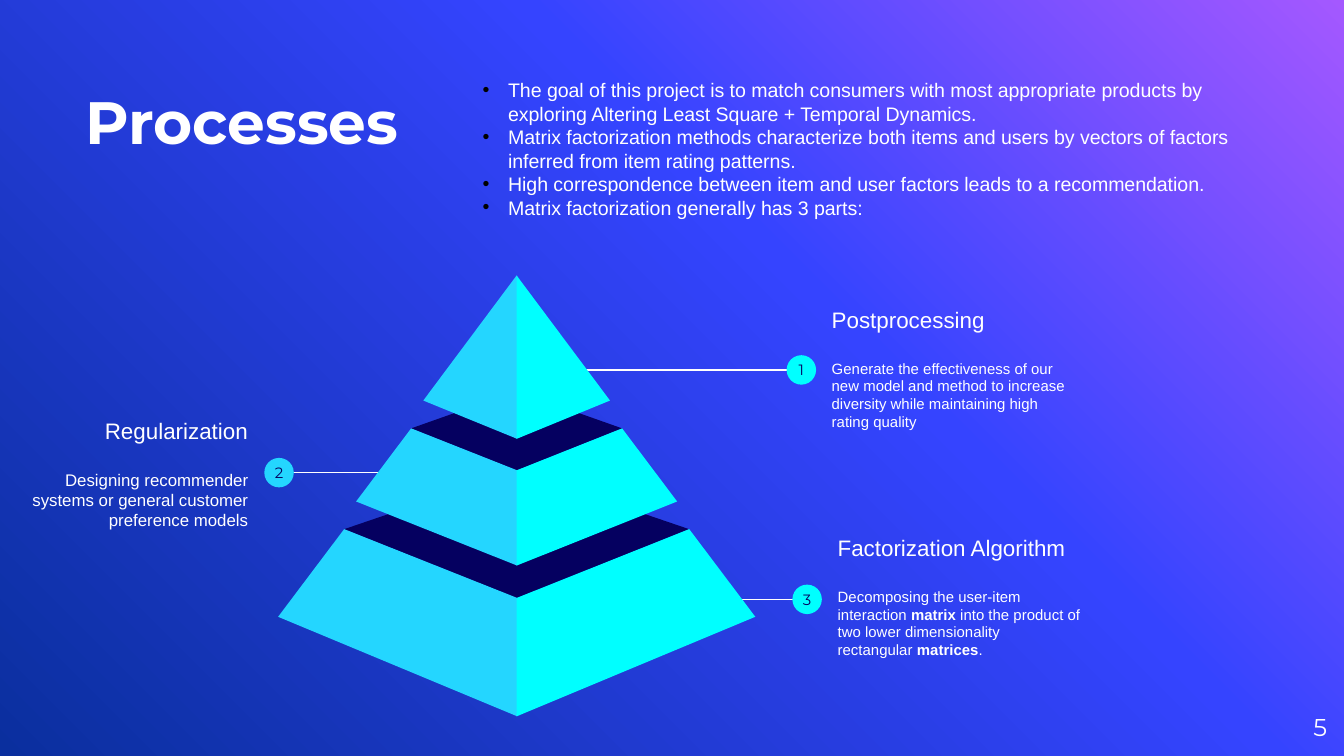
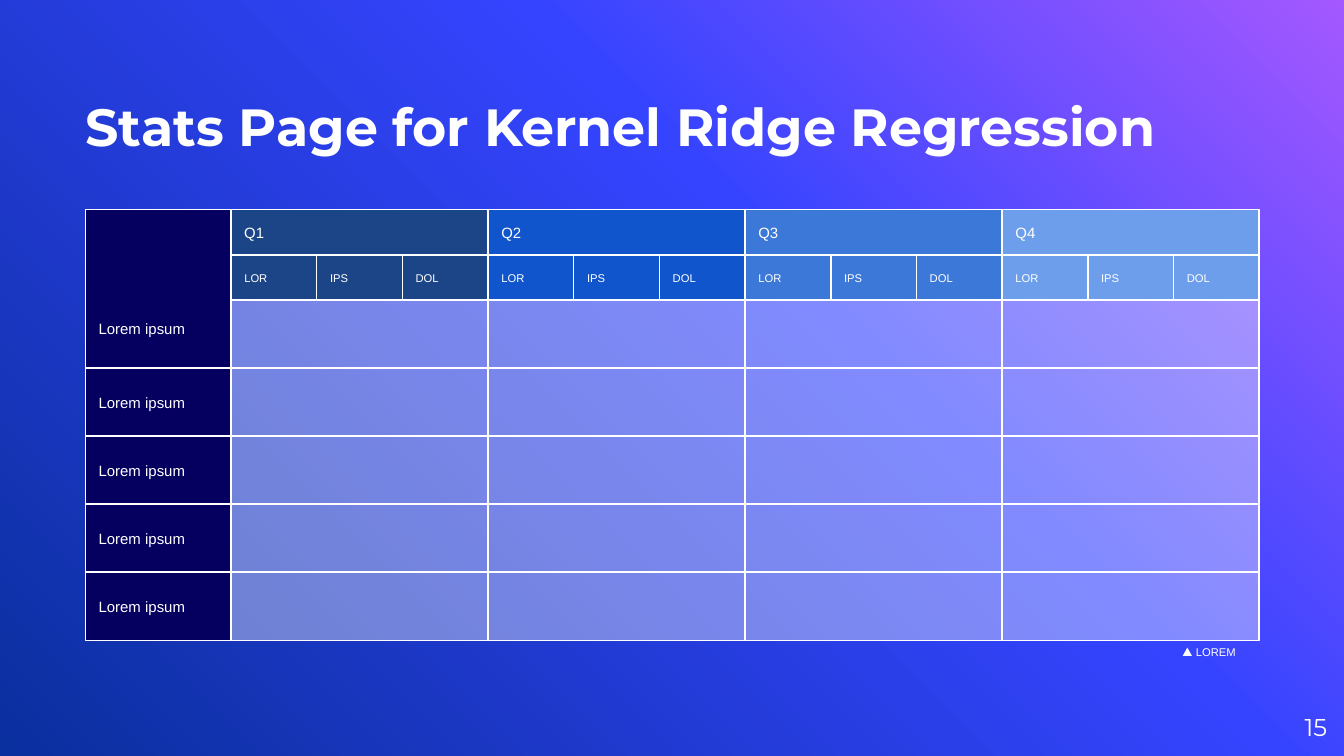
import pptx
import pptx.dml.color
import pptx.enum.shapes
import pptx.enum.text
import pptx.oxml.ns
import pptx.util
from lxml import etree

Pt = pptx.util.Pt
RGBColor = pptx.dml.color.RGBColor
Shape = pptx.enum.shapes.MSO_SHAPE
Align = pptx.enum.text.PP_ALIGN
Anchor = pptx.enum.text.MSO_ANCHOR
qn = pptx.oxml.ns.qn

WHITE = RGBColor(0xFF, 0xFF, 0xFF)
BLACK = RGBColor(0x00, 0x00, 0x00)
NAVY = RGBColor(0x05, 0x00, 0x60)
CYAN = RGBColor(0x00, 0xFF, 0xFF)
SKY = RGBColor(0x24, 0xD6, 0xFF)
VIOLET = RGBColor(0xA4, 0x58, 0xFF)
BLUE = RGBColor(0x35, 0x44, 0xFF)
DEEP_BLUE = RGBColor(0x0A, 0x2F, 0x9E)
QUARTER_COLORS = [
    RGBColor(0x1C, 0x45, 0x87),
    RGBColor(0x11, 0x55, 0xCC),
    RGBColor(0x3C, 0x78, 0xD8),
    RGBColor(0x6D, 0x9E, 0xEB),
]
HARD_SPACE = chr(160)


def write_text(frame, text, size, font="Arial", color=WHITE, bold=False, align=Align.LEFT,
               after=0, bullet=None, margin=None, anchor=Anchor.MIDDLE):
    if margin is not None:
        frame.word_wrap = True
        frame.auto_size = pptx.enum.text.MSO_AUTO_SIZE.NONE
        frame.vertical_anchor = anchor
        frame.margin_left = frame.margin_right = Pt(margin)
        frame.margin_top = frame.margin_bottom = Pt(margin)
    paragraph = frame.paragraphs[0]
    if paragraph.runs:
        paragraph = frame.add_paragraph()
    if bullet:
        properties = paragraph._p.get_or_add_pPr()
        properties.set("marL", str(Pt(21.6)))
        properties.set("indent", str(Pt(-13.7)))
        bullet_color = etree.SubElement(properties, qn("a:buClr"))
        etree.SubElement(bullet_color, qn("a:srgbClr"), val=str(BLACK))
        etree.SubElement(properties, qn("a:buFont"), typeface="Arial")
        etree.SubElement(properties, qn("a:buChar"), char=bullet)
    paragraph.alignment = align
    paragraph.space_before = Pt(0)
    paragraph.space_after = Pt(after)
    for index, part in enumerate(text.split("*")):
        run = paragraph.add_run()
        run.text = part
        run.font.name = font
        run.font.size = Pt(size)
        run.font.bold = bold or index % 2 == 1
        run.font.color.rgb = color


def fill_shape(shape, color, outlined=False):
    shape.shadow.inherit = False
    shape.fill.solid()
    shape.fill.fore_color.rgb = color
    if outlined:
        shape.line.color.rgb = WHITE
        shape.line.width = Pt(0.75)
    else:
        shape.line.fill.background()


presentation = pptx.Presentation()
presentation.slide_width = Pt(720)
presentation.slide_height = Pt(405)

master = presentation.slide_master
background = master.background.fill
background.gradient()
background.gradient_angle = 225
stops = master.element.find(".//" + qn("a:gsLst"))
for stop in list(stops):
    stops.remove(stop)
for position, color in [(0, VIOLET), (39, BLUE), (100, DEEP_BLUE)]:
    stop = etree.SubElement(stops, qn("a:gs"), pos=str(position * 1000))
    etree.SubElement(stop, qn("a:srgbClr"), val=str(color))

slides = []
for layout, title, size, width, number in [
    (1, "Processes", 32, 473.8, "5"),
    (5, "Stats Page for Kernel Ridge Regression", 28, 629.3, "15"),
]:
    slide = presentation.slides.add_slide(presentation.slide_layouts[layout])
    heading = slide.shapes.title
    heading.left, heading.top, heading.width, heading.height = Pt(45.7), Pt(16.3), Pt(width), Pt(67.7)
    write_text(heading.text_frame, title, size, font="Montserrat", bold=True, margin=0, anchor=Anchor.BOTTOM)
    page_number = slide.shapes.add_textbox(Pt(667.7), Pt(373.7), Pt(43.2), Pt(31))
    write_text(page_number.text_frame, number, 13, font="Montserrat", align=Align.RIGHT, margin=0)
    slides.append(slide)
process_slide, stats_slide = slides

goals = process_slide.placeholders[1]
goals.left, goals.top, goals.width, goals.height = Pt(243.4), Pt(38.2), Pt(445.7), Pt(94.3)
goals.text_frame.auto_size = pptx.enum.text.MSO_AUTO_SIZE.NONE
for goal in [
    "The goal of this project is to match consumers with most appropriate products by exploring "
    "Altering Least Square + Temporal Dynamics.",
    "Matrix factorization methods characterize both items and users by vectors of factors inferred "
    "from item rating patterns.",
    "High correspondence between item and user factors leads to a recommendation.",
    "Matrix factorization generally has 3 parts:",
]:
    write_text(goals.text_frame, goal, 10.5, bullet="•")

callouts = [
    ("1", "Postprocessing",
     "Generate the effectiveness of our new model and method to increase diversity while maintaining "
     "high rating quality",
     8, Align.LEFT, 438.5, 143.1, 421.4, 198.2, 301.7, 437, CYAN),
    ("2", "Regularization",
     "Designing recommender systems or general customer preference models",
     9, Align.RIGHT, -6.9, 199.3, 141.6, 253.2, 229, 146.9, SKY),
    ("3", "Factorization Algorithm",
     f"Decomposing the user-item interaction{HARD_SPACE}*matrix*{HARD_SPACE}into the product of two lower "
     f"dimensionality rectangular{HARD_SPACE}*matrices*.",
     8, Align.LEFT, 441.7, 265.3, 424.5, 321.1, 393.8, 440, CYAN),
]
for number, name, detail, size, align, left, top, badge_left, middle, start, end, color in callouts:
    connector = process_slide.shapes.add_connector(
        pptx.enum.shapes.MSO_CONNECTOR.STRAIGHT, Pt(start), Pt(middle), Pt(end), Pt(middle))
    connector.line.color.rgb = WHITE
    connector.line.width = Pt(0.75)
    etree.SubElement(connector._element.spPr, qn("a:effectLst"))
    callout = process_slide.shapes.add_textbox(Pt(left), Pt(top), Pt(146.9), Pt(108.7))
    write_text(callout.text_frame, name, 12, align=align, after=13.8, margin=7.2)
    write_text(callout.text_frame, detail, size, align=align)
    badge = process_slide.shapes.add_shape(Shape.OVAL, Pt(badge_left), Pt(middle - 7.9), Pt(15.8), Pt(15.8))
    fill_shape(badge, color)
    write_text(badge.text_frame, number, 8, font="Montserrat", color=NAVY, align=Align.CENTER, margin=0)

axis = 276.8
seam = 0.3
pyramid_levels = [
    (92.4, 283.5, 320.4, 127.8, 330.5, 383.8, 252),
    (56.5, 229.5, 252, 86, 268.7, 303, 209.5),
    (0, 147.6, 147.6, 50, 214.6, 235.1, None),
]
for top_half, top_side, top_front, base_half, base_side, base_front, lid_back in pyramid_levels:
    outlines = []
    if lid_back:
        outlines.append((NAVY, [(axis - top_half, top_side), (axis, top_front),
                                (axis + top_half, top_side), (axis, lid_back)]))
    for side, edge, color in [(-1, axis + seam, SKY), (1, axis, CYAN)]:
        outlines.append((color, [(axis + side * top_half, top_side), (axis + side * base_half, base_side),
                                 (edge, base_front), (edge, top_front)]))
    for color, corners in outlines:
        points = [(Pt(x), Pt(y)) for x, y in corners]
        builder = process_slide.shapes.build_freeform(*points[0])
        builder.add_line_segments(points[1:], close=True)
        fill_shape(builder.convert_to_shape(), color)

grid_left, grid_top = 45.7, 112.3
label_width, quarter_width = 78.1, 137.7
header_height, row_height = 24.25, 36.45
rows_top = grid_top + 2 * header_height

grid_cells = []
for quarter, color in enumerate(QUARTER_COLORS):
    left = grid_left + label_width + quarter * quarter_width
    for row in range(5):
        grid_cells.append((left, rows_top + row * row_height, quarter_width, row_height, WHITE, "", 8))
    grid_cells.append((left, grid_top, quarter_width, header_height, color, f"Q{quarter + 1}", 8))
    third = quarter_width / 3
    for index, name in enumerate(["LOR", "IPS", "DOL"]):
        grid_cells.append((left + index * third, grid_top + header_height, third, header_height, color, name, 6))
for row in range(1, 5):
    grid_cells.append((grid_left, rows_top + row * row_height, label_width, row_height, NAVY, "Lorem ipsum", 8))

for left, top, width, height, color, text, size in grid_cells:
    rectangle = stats_slide.shapes.add_shape(Shape.RECTANGLE, Pt(left), Pt(top), Pt(width), Pt(height))
    fill_shape(rectangle, color, outlined=True)
    if text:
        write_text(rectangle.text_frame, text, size, margin=7.2)
    else:
        fill_color = rectangle._element.spPr.find(qn("a:solidFill")).find(qn("a:srgbClr"))
        etree.SubElement(fill_color, qn("a:alpha"), val="38000")

first_label = stats_slide.shapes.add_shape(
    Shape.RECTANGLE, Pt(grid_left), Pt(grid_top), Pt(label_width), Pt(2 * header_height + row_height))
fill_shape(first_label, NAVY, outlined=True)
write_text(first_label.text_frame, "Lorem ipsum", 8, margin=7.2, anchor=Anchor.BOTTOM)
first_label.text_frame.margin_bottom = Pt(16.6)

legend = stats_slide.shapes.add_textbox(Pt(633.6), Pt(345.4), Pt(40.3), Pt(8))
write_text(legend.text_frame, "LOREM", 6, margin=0)
legend.text_frame.margin_left = Pt(7.2)
marker = stats_slide.shapes.add_shape(Shape.ISOSCELES_TRIANGLE, Pt(633.6), Pt(346.9), Pt(5), Pt(4.5))
fill_shape(marker, WHITE)

presentation.save("out.pptx")
